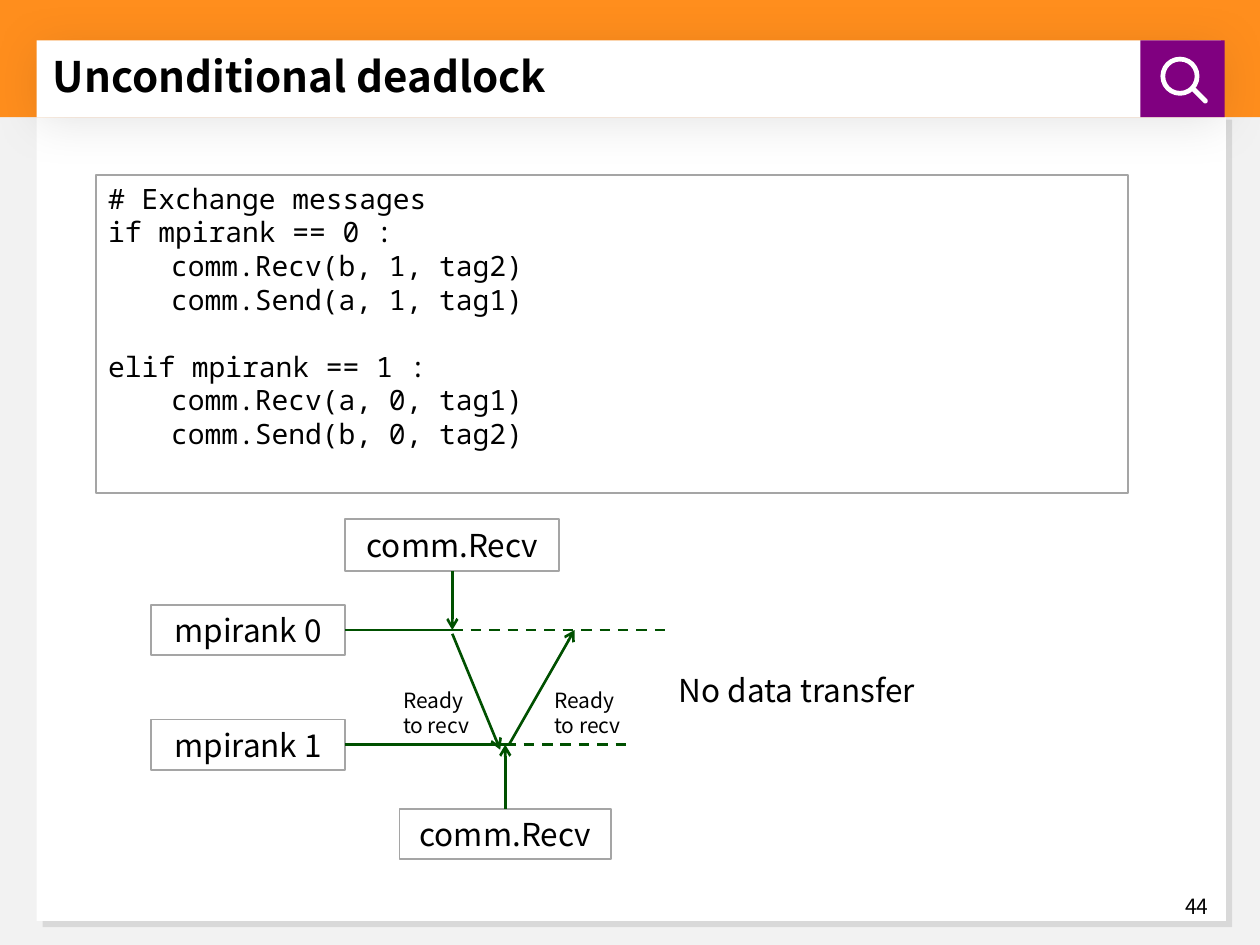
from lxml import etree
from pptx import Presentation
from pptx.dml.color import RGBColor
from pptx.enum.dml import MSO_LINE
from pptx.enum.shapes import MSO_CONNECTOR, MSO_SHAPE
from pptx.enum.text import MSO_ANCHOR, MSO_AUTO_SIZE, PP_ALIGN
from pptx.oxml.ns import qn
from pptx.util import Inches, Pt

RECT, DONUT, ROUND = MSO_SHAPE.RECTANGLE, MSO_SHAPE.DONUT, MSO_SHAPE.ROUNDED_RECTANGLE
STRAIGHT, DASH = MSO_CONNECTOR.STRAIGHT, MSO_LINE.DASH
LEFT, CENTER, RIGHT = PP_ALIGN.LEFT, PP_ALIGN.CENTER, PP_ALIGN.RIGHT
TOP, MIDDLE = MSO_ANCHOR.TOP, MSO_ANCHOR.MIDDLE
NO_FIT = MSO_AUTO_SIZE.NONE
SITE_TOP, SITE_BOTTOM, SITE_RIGHT = 0, 2, 3
COLUMNS, ROWS = 100, 75


def rgb(color):
    return RGBColor.from_string(color)


def child(parent, tag, **attributes):
    return etree.SubElement(parent, qn(tag), {k: str(v) for k, v in attributes.items()})


class SlideBuilder:
    """Places styled elements on a grid of 100 columns by 75 rows."""
    SANS, MONO = "Noto Sans CJK KR", "Noto Sans Mono"
    BLACK, WHITE, GREY, GREEN = "000000", "FFFFFF", "A5A5A5", "005000"

    def __init__(self, prs):
        self.s = prs.slides.add_slide(prs.slide_layouts[5])
        self.cell_w = prs.slide_width / COLUMNS
        self.cell_h = prs.slide_height / ROWS

    def place(self, col, row, cols, rows):
        return (round(col * self.cell_w), round(row * self.cell_h),
                round(cols * self.cell_w), round(rows * self.cell_h))

    def set_text(self, sp, text, size, align=LEFT, anchor=TOP, font=SANS, bold=False):
        tf = sp.text_frame
        tf.word_wrap, tf.auto_size, tf.vertical_anchor = True, NO_FIT, anchor
        tf.text = text
        for p in tf.paragraphs:
            p.alignment = align
            for r in p.runs:
                r.font.name, r.font.size, r.font.bold = font, Pt(size), bold
                r.font.color.rgb = rgb(self.BLACK)
        return tf

    def shape(self, at, fill, kind=RECT, line=None, adjust=None, parent=None):
        shapes = (parent or self.s).shapes
        sp = shapes.add_shape(kind, *self.place(*at))
        sp.shadow.inherit = False
        sp.fill.solid()
        sp.fill.fore_color.rgb = rgb(fill)
        if line:
            sp.line.color.rgb, sp.line.width = rgb(line), Pt(1)
        else:
            sp.line.fill.background()
        if adjust is not None:
            sp.adjustments[0] = adjust
        return sp

    def cast_shadow(self, sp, blur, distance, angle):
        effects = sp._element.spPr.find(qn("a:effectLst"))
        shadow = child(effects, "a:outerShdw", blurRad=int(Pt(blur)), dist=int(Pt(distance)),
                       dir=angle * 60000, algn="t", rotWithShape=0)
        color = child(shadow, "a:srgbClr", val=self.BLACK)
        child(color, "a:alpha", val=10000)

    def search_icon(self, at):
        col, row, cols, rows = at
        group = self.s.shapes.add_group_shape()
        self.shape(at, "800080", parent=group)
        self.shape((col + 1.6, row + 1.3, 3.1, 3.1), self.WHITE, DONUT, adjust=0.122, parent=group)
        handle = self.shape((col + 4.5, row + 3.5, 0.4, 1.7), self.WHITE, ROUND,
                            adjust=0.5, parent=group)
        handle.rotation = 315

    def title(self, at, text):
        sp = self.s.shapes.title
        self.s.shapes._spTree.append(sp._element)  # bring in front of the title bar
        sp.left, sp.top, sp.width, sp.height = self.place(*at)
        tf = self.set_text(sp, text, 24, anchor=MIDDLE, bold=True)
        tf.paragraphs[0].line_spacing = 0.9

    def label(self, at, text, size, align=LEFT, anchor=TOP):
        self.set_text(self.s.shapes.add_textbox(*self.place(*at)), text, size, align, anchor)

    def box(self, at, text):
        sp = self.shape(at, self.WHITE, line=self.GREY)
        self.set_text(sp, text, 18, CENTER, MIDDLE)
        return sp

    def code(self, at, blocks):
        """Set blocks of code lines, one line's height apart."""
        sp = self.shape(at, self.WHITE, line=self.GREY)
        lines = [line for block in blocks for line in block]
        tf = self.set_text(sp, "\n".join(lines), 16, font=self.MONO)
        for p in tf.paragraphs:
            tabs = child(p._p.get_or_add_pPr(), "a:tabLst")
            child(tabs, "a:tab", pos=int(Inches(0.5)), algn="l")
        first = 0
        for block in blocks[:-1]:
            first += len(block)
            tf.paragraphs[first].space_before = Pt(19.2)

    def line(self, start, end, source=None, arrow=False, dash=False):
        """Draw a line; source is an optional (shape, site) to join it to."""
        x1, y1, x2, y2 = self.place(*start, *end)
        c = self.s.shapes.add_connector(STRAIGHT, x1, y1, x2, y2)
        if source:
            c.begin_connect(*source)
        c.line.color.rgb, c.line.width = rgb(self.GREEN), Pt(1.5)
        if dash:
            c.line.dash_style = DASH
        if arrow:
            child(c.line._get_or_add_ln(), "a:tailEnd", type="arrow")
        child(c._element.spPr, "a:effectLst")


def main():
    prs = Presentation()
    prs.slide_width, prs.slide_height = Inches(10), Inches(7.5)
    b = SlideBuilder(prs)

    b.shape((0, 6.9, 100, 68.1), "F2F2F2")
    page = b.shape((2.9, 9, 94.4, 64.1), b.WHITE)
    b.cast_shadow(page, 0, 5, 45)
    b.shape((0, 0, 100, 9.3), "FF8E1D")
    title_bar = b.shape((2.9, 3.2, 94, 6.1), b.WHITE)
    b.cast_shadow(title_bar, 27, 3, 90)
    b.search_icon((90.5, 3.2, 6.7, 6.1))
    b.label((75.1, 70.9, 21.8, 2.1), "44", 12, RIGHT, MIDDLE)
    b.title((3.2, 3.5, 88.3, 5.5), "Unconditional deadlock")

    b.code((7.6, 13.9, 81.9, 25.2), [
        ["# Exchange messages",
         "if mpirank == 0 :",
         "\tcomm.Recv(b, 1, tag2)",
         "\tcomm.Send(a, 1, tag1)"],
        ["elif mpirank == 1 :",
         "\tcomm.Recv(a, 0, tag1)",
         "\tcomm.Send(b, 0, tag2)"],
    ])

    recv0 = b.box((27.4, 41.2, 17, 4.1), "comm.Recv")
    recv1 = b.box((31.7, 64.2, 16.8, 4), "comm.Recv")
    row0, row1 = 50, 59.1
    call0, call1 = 35.9, 40.1
    ranks = [(row0, call0, 53.2), (row1, call1, 50.2)]
    for rank, (row, call, end) in enumerate(ranks):
        sp = b.box((12, row - 2, 15.4, 4), f"mpirank {rank}")
        b.line((27.4, row), (call, row), (sp, SITE_RIGHT))
        b.line((call, row), (end, row), dash=True)
    b.line((call0, 45.3), (call0, row0), (recv0, SITE_BOTTOM), arrow=True)
    b.line((call1, 64.2), (call1, row1), (recv1, SITE_TOP), arrow=True)
    b.line((call0, row0 + 0.3), (39.7, row1 + 0.4), arrow=True)
    b.line((40.4, row1), (45.6, row0), arrow=True)

    for col in (31, 43):
        b.label((col, 54.1, 7.9, 5), "Ready\vto recv", 12)
    b.label((52.9, 52.8, 28.4, 4), "No data transfer", 18)

    prs.save("out.pptx")


if __name__ == "__main__":
    main()
